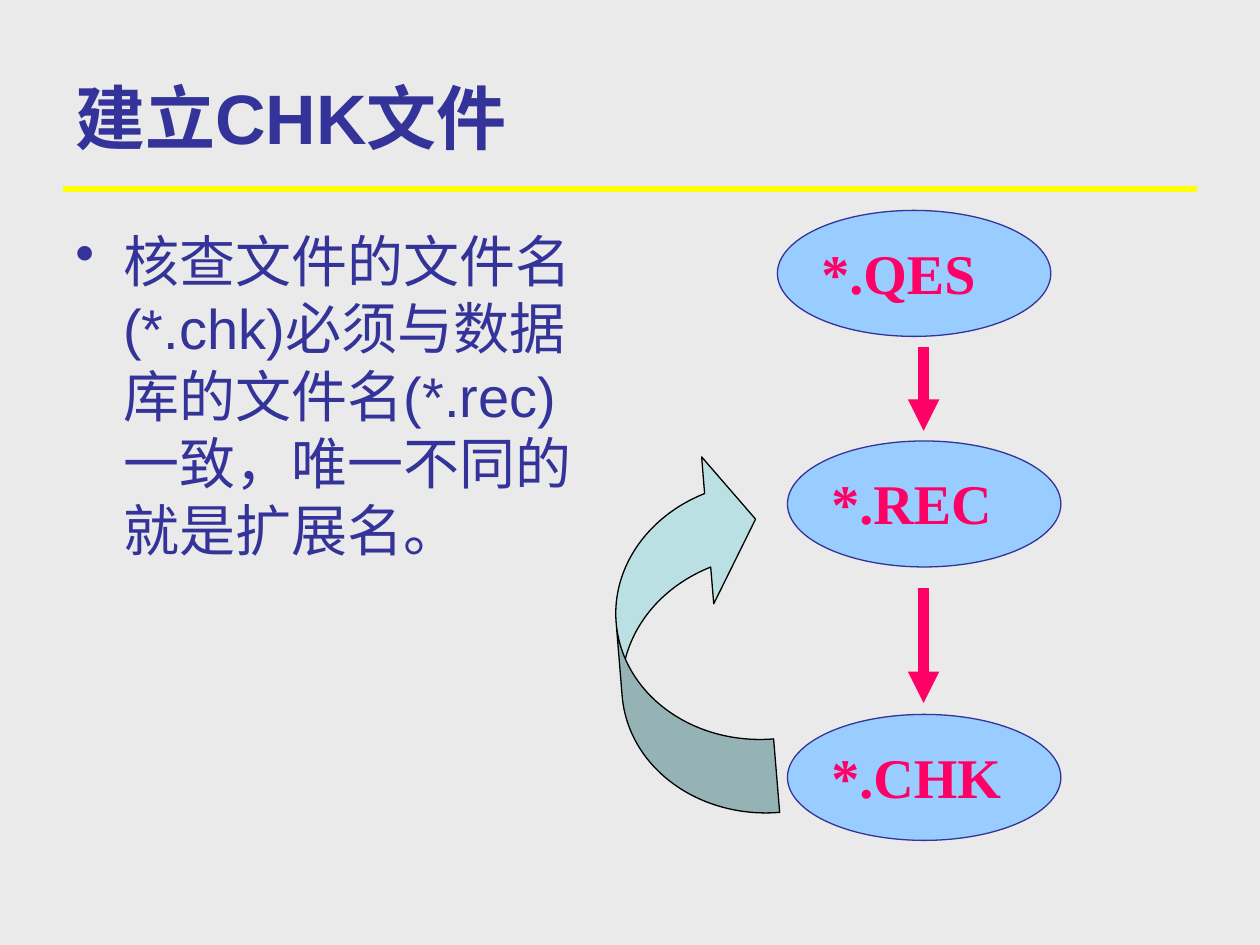
from lxml import etree
from pptx import Presentation
from pptx.dml.color import RGBColor
from pptx.enum import shapes, text
from pptx.oxml.ns import qn
from pptx.util import Inches, Pt

HUES = {"back": "EAEAEA", "rule": "FFFF00", "ink": "333399", "oval": "99CCFF",
        "pink": "FF0066", "curve": "BBE0E3", "edge": "000000"}


def hue(name):
    return RGBColor.from_string(HUES[name])


def add_text(home, box, words, size, face, tint, bold=False):
    frame = home.add_textbox(*map(Inches, box)).text_frame
    frame.word_wrap = True
    frame.text = words
    font = frame.paragraphs[0].runs[0].font
    font.size, font.name, font.bold = Pt(size), face, bold
    font.color.rgb = hue(tint)
    return frame


def add_solid(home, kind, box, fill, edge):
    shape = home.add_shape(kind, *map(Inches, box))
    shape.shadow.inherit = False
    shape.fill.solid()
    shape.fill.fore_color.rgb = hue(fill)
    shape.line.color.rgb = hue(edge)
    shape.line.width = Pt(0.75)
    return shape


def add_line(home, start, end, tint, width, head=False):
    line = home.add_connector(shapes.MSO_CONNECTOR.STRAIGHT,
                              *map(Inches, start + end))
    line.line.color.rgb = hue(tint)
    line.line.width = Pt(width)
    props = line._element.spPr
    if head:
        etree.SubElement(props.find(qn("a:ln")), qn("a:tailEnd"), type="triangle")
    etree.SubElement(props, qn("a:effectLst"))


def add_title(home, box):
    left, top, width, height = box
    # Rule under the heading
    add_line(home, (left, top + 1.2), (left + width, top + 1.2), "rule", 3)
    frame = add_text(home, box, "建立CHK文件", 40, "Arial", "ink", True)
    frame.vertical_anchor = text.MSO_ANCHOR.MIDDLE


def add_body(home, box):
    frame = add_text(home, box, "核查文件的文件名(*.chk)必须与数据库的文件名(*.rec)一致，"
                     "唯一不同的就是扩展名。", 32, "Arial", "ink")
    # Bullet with a hanging indent
    props = frame.paragraphs[0]._p.get_or_add_pPr()
    props.set("marL", str(Inches(0.38)))
    props.set("indent", str(-Inches(0.38)))
    etree.SubElement(props, qn("a:buChar"), char="•")


def add_node(home, left, top, words):
    group = home.add_group_shape().shapes
    add_solid(group, shapes.MSO_SHAPE.OVAL, (left, top, 2.17, 1), "oval", "ink")
    add_text(group, (left + 0.25, top + 0.17, 1.75, 0.64), words, 32,
             "Times New Roman", "pink", True)


def add_flow(home, left, top):
    # File types from first to last
    for dx, dy, words in ((1.27, 0, "*.QES"), (1.35, 1.83, "*.REC"),
                          (1.35, 4, "*.CHK")):
        add_node(home, left + dx, top + dy, words)
    # Steps down
    mid = left + 2.43
    for start, end in ((1.08, 1.75), (3, 3.91)):
        add_line(home, (mid, top + start), (mid, top + end), "pink", 6, True)
    # Curved way back from CHK to REC
    curve = add_solid(home, shapes.MSO_SHAPE.CURVED_LEFT_ARROW,
                      (left, top + 1.91, 1.17, 2.92), "curve", "edge")
    curve.rotation = 175.3
    for spot, value in enumerate((0.5, 1, 0.33)):
        curve.adjustments[spot] = value


def main():
    deck = Presentation()
    deck.slide_width, deck.slide_height = Inches(10), Inches(7.5)
    slide = deck.slides.add_slide(deck.slide_layouts[6])
    slide.background.fill.solid()
    slide.background.fill.fore_color.rgb = hue("back")
    add_title(slide.shapes, (0.5, 0.3, 9, 1.25))
    add_body(slide.shapes, (0.5, 1.75, 4.17, 4.95))
    add_flow(slide.shapes, 4.9, 1.67)
    deck.save("out.pptx")


if __name__ == "__main__":
    main()
